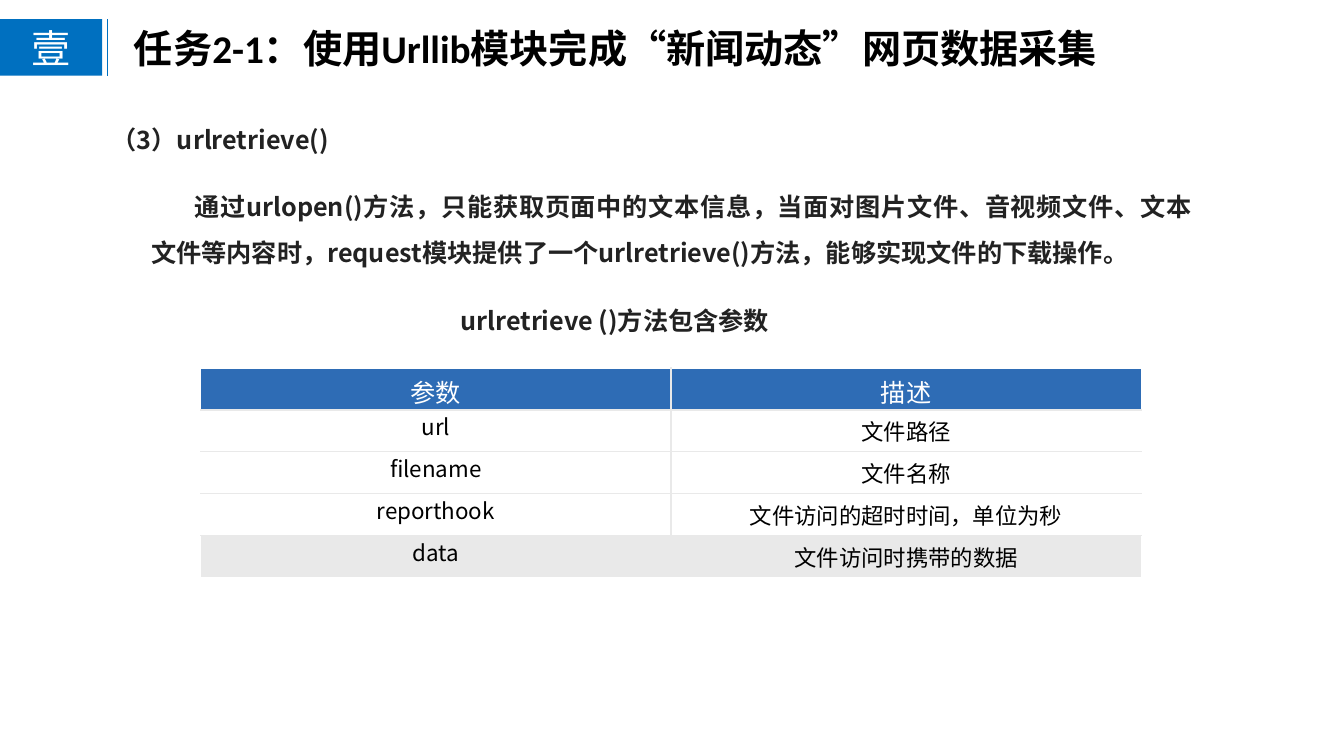
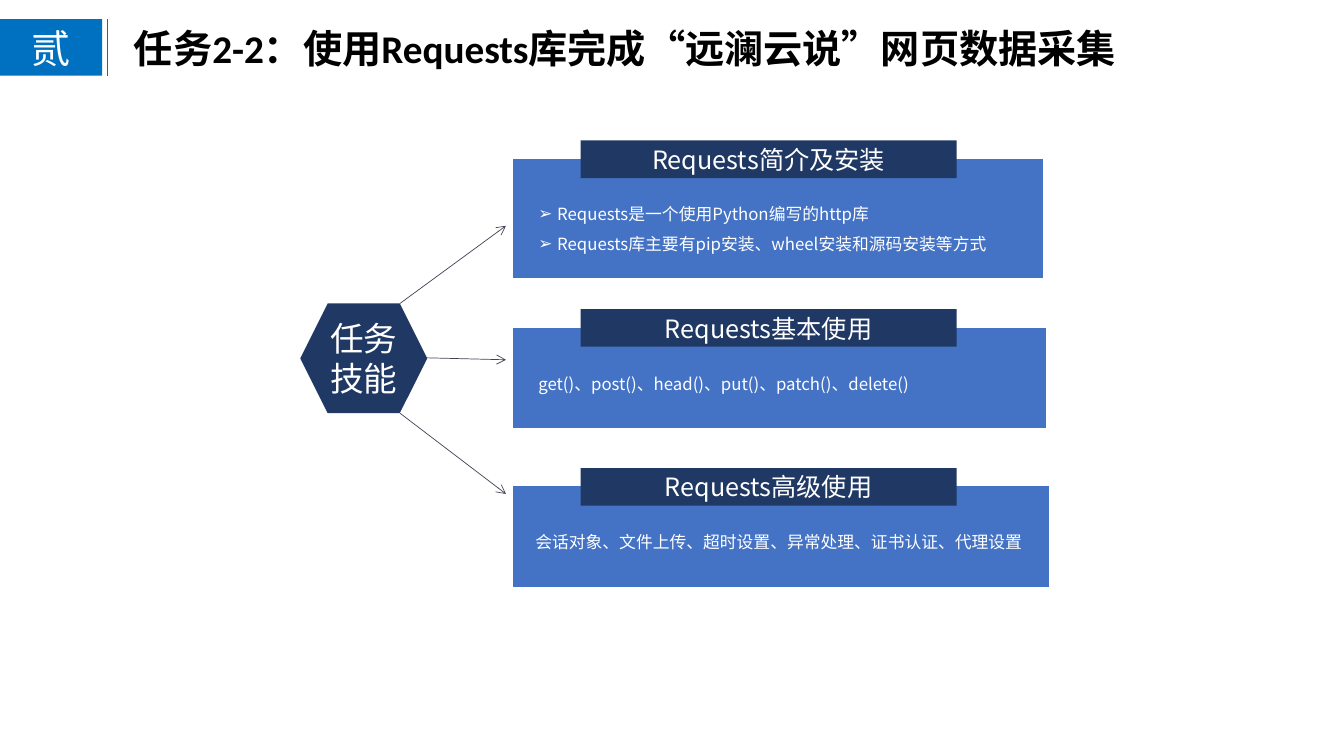
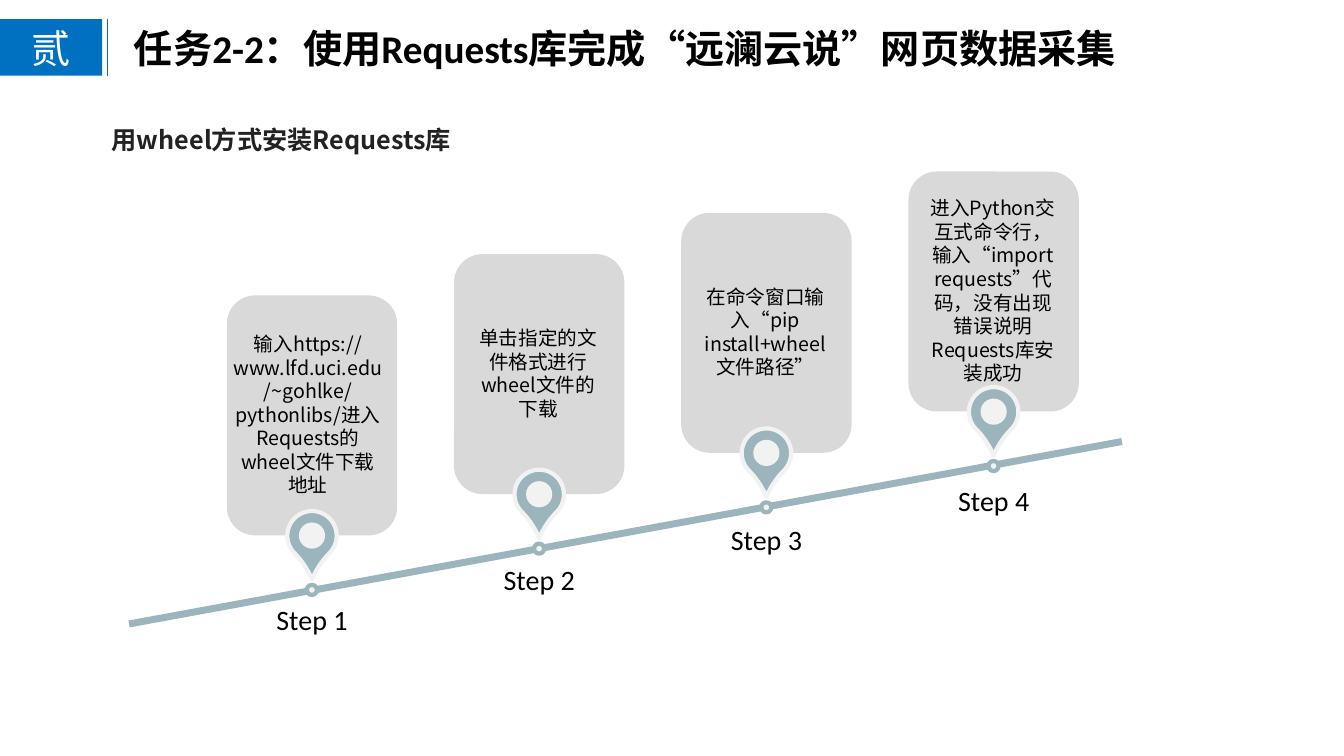
from dataclasses import dataclass

from lxml import etree
from pptx import Presentation
from pptx.dml.color import RGBColor
from pptx.enum import shapes, text
from pptx.oxml import ns
from pptx.util import Pt

LEFT, CENTER, JUSTIFY = text.PP_ALIGN.LEFT, text.PP_ALIGN.CENTER, text.PP_ALIGN.JUSTIFY
TOP, MIDDLE = text.MSO_ANCHOR.TOP, text.MSO_ANCHOR.MIDDLE
SHAPE = shapes.MSO_SHAPE


@dataclass(frozen=True)
class Theme:
    latin: str = "Calibri"
    cjk: str = "Noto Sans CJK SC"
    white: str = "FFFFFF"
    black: str = "000000"
    ink: str = "222222"
    badge: str = "0070C0"
    card: str = "4472C4"
    navy: str = "203864"
    arrow: str = "414455"
    header: str = "2E6CB5"
    rule: str = "E9E9E9"
    panel: str = "D9D9D9"
    teal: str = "9CB4BB"
    pale: str = "F2F2F2"
    title: int = 28
    hub: int = 24
    step: int = 20
    heading: int = 18
    cell: int = 16
    note: int = 14
    item: int = 12


T = Theme()
BOX = (7.2, 3.6)
TIGHT = (5.8, 2.9)


def rgb(value):
    return RGBColor.from_string(value)


def add(parent, tag, **attrs):
    return etree.SubElement(parent, ns.qn(tag), **attrs)


class Deck:
    def __init__(self):
        self.prs = Presentation()
        self.prs.slide_width, self.prs.slide_height = Pt(960), Pt(540)
        self.s = None

    def fill_text(self, tf, lines, size, color=T.black, font=T.cjk, bold=False,
                  align=LEFT, spacing=1.0, indent=0, bullet=None):
        tf.text = "\n".join(lines) if isinstance(lines, list) else lines
        for p in tf.paragraphs:
            p.alignment, p.line_spacing, p.space_before = align, spacing, Pt(0)
            pPr = p._p.get_or_add_pPr()
            if bullet:
                pPr.set("marL", str(Pt(indent)))
                pPr.set("indent", str(-Pt(indent)))
                add(pPr, "a:buChar", char=bullet)
            elif indent:
                pPr.set("indent", str(Pt(indent)))
            p.font.size, p.font.bold, p.font.name = Pt(size), bold, font
            p.font.color.rgb = rgb(color)
            add(pPr.find(ns.qn("a:defRPr")), "a:ea", typeface=T.cjk)

    def frame(self, tf, inset=BOX, anchor=TOP):
        tf.word_wrap, tf.auto_size = True, text.MSO_AUTO_SIZE.NONE
        tf.vertical_anchor = anchor
        tf.margin_left = tf.margin_right = Pt(inset[0])
        tf.margin_top = tf.margin_bottom = Pt(inset[1])

    def place(self, sp, x, y, w, h):
        sp.left, sp.top, sp.width, sp.height = Pt(x), Pt(y), Pt(w), Pt(h)

    def slide(self, badge, title, width=750, layout=5):
        self.s = self.prs.slides.add_slide(self.prs.slide_layouts[layout])
        sp = self.s.shapes.title
        self.place(sp, 88.5, 13.7, width, 41)
        self.frame(sp.text_frame)
        self.fill_text(sp.text_frame, title, T.title, font=T.latin, bold=True)
        self.shape(SHAPE.RECTANGLE, 0, 13.7, 73, 40.3, T.badge, label=badge,
                   size=T.title, inset=(2, 2))
        self.line(77, 13.7, 77, 54, T.badge, 1)

    def text(self, lines, x, y, w, h, size, inset=BOX, anchor=TOP, **style):
        sp = self.s.shapes.add_textbox(Pt(x), Pt(y), Pt(w), Pt(h))
        self.frame(sp.text_frame, inset, anchor)
        self.fill_text(sp.text_frame, lines, size, **style)

    def heading(self, label, x, y, w, h=29, **style):
        self.text(label, x, y, w, h, T.heading, color=T.ink, bold=True, **style)

    def bullets(self, lines, x, y, w, h):
        sp = self.s.placeholders[1]
        self.s.shapes._spTree.append(sp._element)
        self.place(sp, x, y, w, h)
        self.frame(sp.text_frame, TIGHT)
        self.fill_text(sp.text_frame, lines, T.item, T.white, align=JUSTIFY,
                       spacing=1.5, indent=13.5, bullet="➢")

    def shape(self, kind, x, y, w, h, fill, line=None, line_width=1, label=None,
              size=T.heading, inset=TIGHT):
        sp = self.s.shapes.add_shape(kind, Pt(x), Pt(y), Pt(w), Pt(h))
        sp.shadow.inherit = False
        sp.fill.solid()
        sp.fill.fore_color.rgb = rgb(fill)
        if line:
            sp.line.color.rgb, sp.line.width = rgb(line), Pt(line_width)
        else:
            sp.line.fill.background()
        if label:
            self.frame(sp.text_frame, inset, MIDDLE)
            self.fill_text(sp.text_frame, label, size, T.white, align=CENTER)
        return sp

    def line(self, x1, y1, x2, y2, color, width, arrow=False):
        c = self.s.shapes.add_connector(shapes.MSO_CONNECTOR.STRAIGHT,
                                        Pt(x1), Pt(y1), Pt(x2), Pt(y2))
        c.line.color.rgb, c.line.width = rgb(color), Pt(width)
        if arrow:
            add(c.line._get_or_add_ln(), "a:tailEnd", type="arrow")
        add(c._element.spPr, "a:effectLst")

    def border(self, cell, sides):
        tcPr = cell._tc.get_or_add_tcPr()
        for side in sides:
            ln = add(tcPr, f"a:ln{side}", w=str(Pt(1)))
            add(add(ln, "a:solidFill"), "a:srgbClr", val=T.rule)

    def table(self, rows, x, y, col_width, row_height):
        n_rows, n_cols = len(rows), len(rows[0])
        table = self.s.shapes.add_table(n_rows, n_cols, Pt(x), Pt(y), Pt(col_width * n_cols),
                                        Pt(row_height * n_rows)).table
        table.first_row = table.horz_banding = False
        for i, row in enumerate(rows):
            head, last = i == 0, i == n_rows - 1
            for j, value in enumerate(row):
                cell = table.cell(i, j)
                inner = {"L": j > 0, "R": j < n_cols - 1, "T": not head, "B": not last}
                self.border(cell, [side for side, on in inner.items() if on])
                cell.fill.solid()
                cell.fill.fore_color.rgb = rgb(T.header if head else T.rule if last else T.white)
                cell.margin_left = cell.margin_right = Pt(5)
                cell.margin_top, cell.margin_bottom = Pt(3.6 if head else 0), Pt(0)
                cell.vertical_anchor = MIDDLE if j and not head else TOP
                self.fill_text(cell.text_frame, value, T.heading if head else T.cell,
                               T.white if head else T.black, align=CENTER)

    def skill_card(self, label, y, w, h):
        self.shape(SHAPE.RECTANGLE, 366, y, w, h, T.card, T.white)
        self.shape(SHAPE.RECTANGLE, 414.7, y - 12.7, 268.6, 26.9, T.navy, label=label)

    def step(self, number, x, y, label_y, note, note_dx, note_w):
        self.shape(SHAPE.ROUNDED_RECTANGLE, x, y, 121.7, 171.4, T.panel)
        pin = self.shape(SHAPE.TEAR, x + 43.2, y + 154, 35.3, 35.3, T.teal, T.pale, 3)
        pin.adjustments[0] = 1.25
        pin.rotation = 135
        self.shape(SHAPE.OVAL, x + 51.5, y + 162.2, 18.7, 18.7, T.pale)
        self.shape(SHAPE.OVAL, x + 57.2, y + 206.8, 7.2, 7.2, T.pale, T.teal, 3)
        self.text(f"Step {number}", x + 7.2, label_y, 107.3, 47.5, T.step,
                  font=T.latin, align=CENTER)
        self.text(note, x + note_dx, y + 21.3, note_w, 127.4, T.note,
                  anchor=MIDDLE, align=CENTER)


def parameters(d):
    d.slide("壹", "任务2-1：使用Urllib模块完成“新闻动态”网页数据采集", width=723)
    d.heading("（3）urlretrieve()", 72.7, 85, 400)
    d.heading("通过urlopen()方法，只能获取页面中的文本信息，当面对图片文件、音视频文件、文本文件等内容时，"
              "request模块提供了一个urlretrieve()方法，能够实现文件的下载操作。",
              100.8, 122.4, 758, 73, align=JUSTIFY, spacing=1.5, indent=31)
    d.heading("urlretrieve ()方法包含参数", 321.8, 214.6, 315)
    d.table([("参数", "描述"),
             ("url", "文件路径"),
             ("filename", "文件名称"),
             ("reporthook", "文件访问的超时时间，单位为秒"),
             ("data", "文件访问时携带的数据")], 143.3, 262.8, 336, 30)


REQUESTS_TITLE = "任务2-2：使用Requests库完成“远澜云说”网页数据采集"


def skills(d):
    d.slide("贰", REQUESTS_TITLE, layout=1)
    d.shape(SHAPE.HEXAGON, 214.5, 216.7, 90.7, 78.5, T.navy, label="任务技能", size=T.hub)
    for x1, y1, y2 in ((285.8, 216.7, 161.3), (305.2, 255.6, 257), (285.8, 295.2, 352.8)):
        d.line(x1, y1, 361.4, y2, T.arrow, 0.5, arrow=True)
    cards = (("Requests简介及安装", 113, 86.4),
             ("Requests基本使用", 233.5, 72.7),
             ("Requests高级使用", 347, 72.7))
    for i, (label, y, h) in enumerate(cards):
        d.skill_card(label, y, 379.5 + 2.2 * i, h)
    d.bullets(["Requests是一个使用Python编写的http库",
               "Requests库主要有pip安装、wheel安装和源码安装等方式"], 378.7, 135.4, 347, 49)
    for line, x, y, w in (("get()、post()、head()、put()、patch()、delete()", 378.7, 257, 347),
                          ("会话对象、文件上传、超时设置、异常处理、证书认证、代理设置", 376.6, 369.4, 371.5)):
        d.text(line, x, y, w, 27.4, T.item, inset=TIGHT, color=T.white,
               align=JUSTIFY, spacing=1.5)


def wheel_steps(d):
    d.slide("贰", REQUESTS_TITLE)
    d.heading("用wheel方式安装Requests库", 72.7, 74.2, 400, 39.6, align=JUSTIFY, spacing=1.5)
    d.line(801.4, 315.4, 92.2, 445.7, T.teal, 5)
    notes = (("输入https://www.lfd.uci.edu/~gohlke/pythonlibs/进入Requests的wheel文件下载地址", -3.6, 123),
             ("单击指定的文件格式进行wheel文件的下载", 6.5, 107.3),
             ("在命令窗口输入“pip install+wheel文件路径”", 6.5, 107.3),
             ("进入Python交互式命令行，输入“import requests”代码，没有出现错误说明Requests库安装成功", 6.8, 107.3))
    for i, note in enumerate(notes):
        d.step(i + 1, 162 + 162.3 * i, 211 - 29.5 * i, 426.5 - 28.3 * i, *note)


def main():
    d = Deck()
    for build in (parameters, skills, wheel_steps):
        build(d)
    d.prs.save("out.pptx")


if __name__ == "__main__":
    main()
